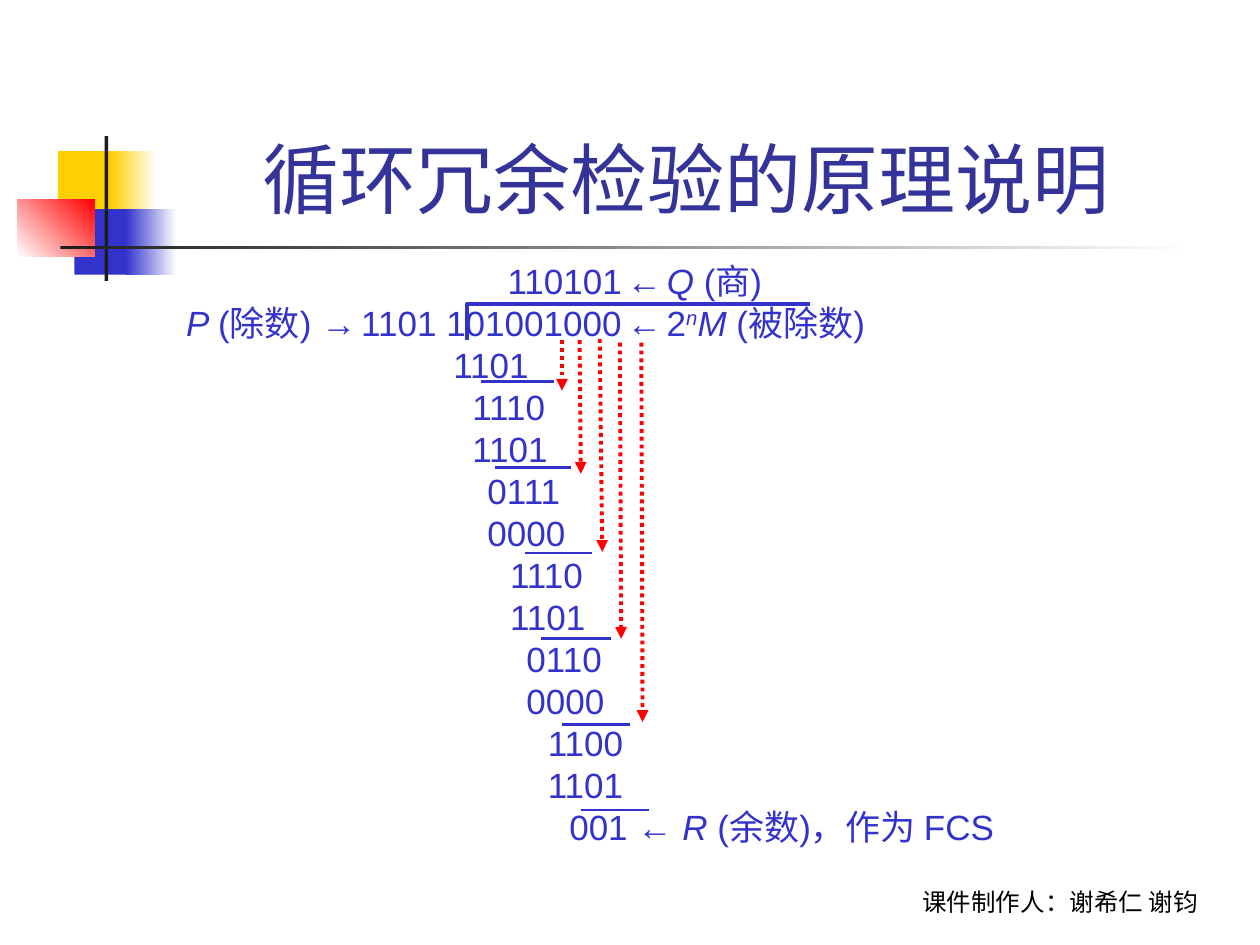
from lxml import etree
from pptx import Presentation
from pptx.dml.color import RGBColor
from pptx.enum.dml import MSO_LINE
from pptx.enum.shapes import MSO_CONNECTOR, MSO_SHAPE
from pptx.enum.text import MSO_ANCHOR, PP_ALIGN
from pptx.oxml.ns import qn
from pptx.util import Inches, Pt

RECTANGLE = MSO_SHAPE.RECTANGLE
STRAIGHT = MSO_CONNECTOR.STRAIGHT
DOTTED = MSO_LINE.ROUND_DOT
BOTTOM, TOP = MSO_ANCHOR.BOTTOM, MSO_ANCHOR.TOP
CENTER, LEFT = PP_ALIGN.CENTER, PP_ALIGN.LEFT

BLUE, TITLE_BLUE, RED = "3333CC", "333399", "FF0000"
YELLOW, DARK, WHITE, BLACK = "FFCF01", "1C1C1C", "FFFFFF", "000000"

ORNAMENT = [
    ((0.46, 1.2, 0.48, 0.52), [YELLOW], 0),
    ((0.88, 1.2, 0.36, 0.52), [YELLOW, WHITE], 0),
    ((0.59, 1.66, 0.46, 0.52), [BLUE], 0),
    ((1, 1.66, 0.4, 0.52), [BLUE, WHITE], 0),
    ((0.14, 1.58, 0.61, 0.46), [WHITE, RED], 45),
    ((0.83, 1.08, 0.03, 1.15), [DARK], 0),
    ((0.48, 1.95, 9, 0.03), [DARK, WHITE], 0),
]

BODY = {"size": Pt(20), "name": "Arial"}
ITALIC = {"italic": True}
BOLD = {"bold": True}
THIN_SPACE = (" ", {"size": Pt(10)})

QUOTIENT = [("110101", {}), THIN_SPACE, ("←", {}), THIN_SPACE,
            ("Q ", ITALIC), ("(商)", {})]
DIVIDEND = [("P ", ITALIC), ("(除数) ", {}), ("→", BOLD), THIN_SPACE,
            ("1101 101001000", {}), THIN_SPACE, ("←", {}), THIN_SPACE,
            ("2", {}), ("n", {"italic": True, "baseline": "30000"}),
            ("M ", ITALIC), ("(被除数)", {})]
REMAINDER = [("001 ← ", {}), ("R", ITALIC), (" (余数)，作为 FCS", {})]

STEPS = [(2.43, ["1101"]), (2.58, ["1110", "1101"]), (2.7, ["0111", "0000"]),
         (2.88, ["1110", "1101"]), (3.01, ["0110", "0000"]),
         (3.18, ["1100", "1101"])]
BARS = [(3.82, 4.4), (3.93, 4.53), (4.17, 4.7),
        (4.29, 4.85), (4.46, 5), (4.61, 5.15)]
BAR_TOP, BAR_PITCH = 3.03, 0.68
DROPS = [(4.46, 2.7, 4.46, 3.1), (4.6, 2.7, 4.61, 3.76),
         (4.76, 2.69, 4.78, 4.38), (4.92, 2.72, 4.93, 5.07),
         (5.09, 2.72, 5.1, 5.73)]


def rgb(code):
    """Turn a hex string into a colour."""
    return RGBColor.from_string(code)


def add_block(slide, box, colors, angle):
    """Draw a rectangle with a plain or two-colour fill."""
    block = slide.shapes.add_shape(RECTANGLE, *map(Inches, box))
    block.shadow.inherit = False
    block.line.fill.background()
    if len(colors) == 1:
        block.fill.solid()
        block.fill.fore_color.rgb = rgb(colors[0])
        return
    block.fill.gradient()
    block.fill.gradient_angle = angle
    for position, (stop, color) in enumerate(zip(block.fill.gradient_stops, colors)):
        stop.color.rgb = rgb(color)
        stop.position = position


def add_line(slide, ends, color, width, arrow=False):
    """Draw a straight line, dotted and with an arrowhead if asked."""
    line = slide.shapes.add_connector(STRAIGHT, *map(Inches, ends))
    line.line.color.rgb = rgb(color)
    line.line.width = Pt(width)
    if arrow:
        line.line.dash_style = DOTTED
        etree.SubElement(line.line._get_or_add_ln(), qn("a:tailEnd"), type="triangle")
    etree.SubElement(line._element.spPr, qn("a:effectLst"))


def add_division_bracket(slide):
    """Draw the long-division bracket over the dividend."""
    builder = slide.shapes.build_freeform(Inches(3.71), Inches(2.7))
    corners = [(3.71, 2.41), (6.43, 2.41)]
    builder.add_line_segments([(Inches(x), Inches(y)) for x, y in corners], close=False)
    bracket = builder.convert_to_shape()
    bracket.shadow.inherit = False
    bracket.fill.background()
    bracket.line.color.rgb = rgb(BLUE)
    bracket.line.width = Pt(2.25)


def add_runs(paragraph, runs, base, color):
    """Append formatted runs to a paragraph."""
    for text, changes in runs:
        run = paragraph.add_run()
        run.text = text
        run.font.color.rgb = rgb(color)
        for key, value in {**base, **changes}.items():
            if key == "baseline":
                run._r.get_or_add_rPr().set(key, value)
            else:
                setattr(run.font, key, value)


def format_frame(frame, anchor):
    """Set wrapping and anchoring of a text frame."""
    frame.word_wrap = True
    frame.vertical_anchor = anchor


def add_label(shape, text, base, color):
    """Fill a shape with one centred line at its bottom."""
    format_frame(shape.text_frame, BOTTOM)
    paragraph = shape.text_frame.paragraphs[0]
    paragraph.alignment = CENTER
    add_runs(paragraph, [(text, {})], base, color)


def add_division_text(slide):
    """Write the long division, one indented paragraph per row."""
    rows = [(2.86, QUOTIENT), (0.31, DIVIDEND)]
    rows += [(indent, [(digits, {})]) for indent, group in STEPS for digits in group]
    rows.append((3.35, REMAINDER))
    box = slide.shapes.add_textbox(*map(Inches, (1.07, 2.01, 8.94, 4.77)))
    frame = box.text_frame
    format_frame(frame, TOP)
    for number, (indent, runs) in enumerate(rows):
        paragraph = frame.add_paragraph() if number else frame.paragraphs[0]
        paragraph.alignment = LEFT
        paragraph.line_spacing = Pt(24)
        paragraph._p.get_or_add_pPr().set("marL", str(Inches(indent)))
        add_runs(paragraph, runs, BODY, BLUE)


def main():
    """Build the slide and save it."""
    deck = Presentation()
    deck.slide_width, deck.slide_height = Inches(10), Inches(7.5)
    slide = deck.slides.add_slide(deck.slide_layouts[5])

    for box, colors, angle in ORNAMENT:
        add_block(slide, box, colors, angle)

    title = slide.shapes.title
    title.left, title.top, title.width, title.height = map(Inches, (1.26, 0.23, 8.52, 1.6))
    add_label(title, "循环冗余检验的原理说明 ", {"size": Pt(44), "name": "Arial"}, TITLE_BLUE)

    credit = slide.shapes.add_textbox(*map(Inches, (6.83, 6.82, 3.17, 0.5)))
    add_label(credit, "课件制作人：谢希仁 谢钧", {"size": Pt(14), "name": "Roboto"}, BLACK)

    add_division_text(slide)
    add_division_bracket(slide)
    for ends in DROPS:
        add_line(slide, ends, RED, 2.25, arrow=True)
    for step, (start, end) in enumerate(BARS):
        height = BAR_TOP + step * BAR_PITCH
        add_line(slide, (start, height, end, height), BLUE, 1.5)

    deck.save("out.pptx")


if __name__ == "__main__":
    main()
